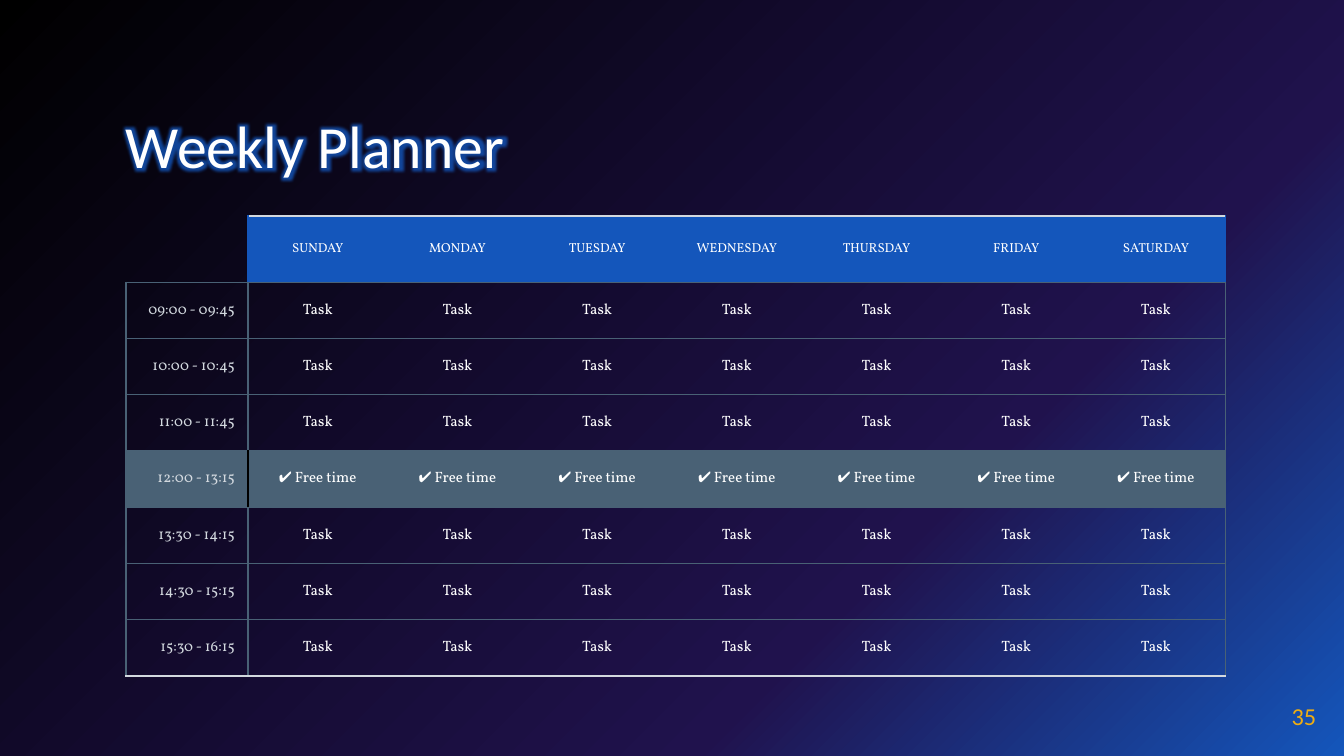
from dataclasses import dataclass
from typing import Optional

from pptx import Presentation
from pptx.dml.color import RGBColor
from pptx.enum.text import MSO_ANCHOR as Anchor, PP_ALIGN as Align
from pptx.oxml import parse_xml
from pptx.oxml.ns import nsdecls
from pptx.util import Emu, Pt

EMU_PER_PX = 914400 / 134.4
BLUE, PURPLE, BLACK, WHITE = "1456BB", "20124D", "000000", "FFFFFF"
SLATE, SILVER, GOLD = "496175", "D3D9DF", "EEAD12"
DAYS = ["SUNDAY", "MONDAY", "TUESDAY", "WEDNESDAY", "THURSDAY", "FRIDAY", "SATURDAY"]
TIMES = ["09:00 - 09:45", "10:00 - 10:45", "11:00 - 11:45", "12:00 - 13:15",
         "13:30 - 14:15", "14:30 - 15:15", "15:30 - 16:15"]
BREAK_ROW = 4
LAST_ROW, LAST_COLUMN = len(TIMES), len(DAYS)


@dataclass(frozen=True)
class Label:
    text: str
    size: int
    font: str
    color: str
    align: Align = Align.LEFT


@dataclass(frozen=True)
class Slot:
    label: Label
    fill: Optional[str]
    left: Optional[str]
    right: Optional[str]
    top: Optional[str]
    bottom: Optional[str]


def px(value: int) -> Emu:
    return Emu(round(value * EMU_PER_PX))


def rgb(color: str) -> RGBColor:
    return RGBColor.from_string(color)


def write(frame, label: Label) -> None:
    para = frame.paragraphs[0]
    para.text = label.text
    para.alignment = label.align
    for span in para.runs:
        span.font.size = Pt(label.size)
        span.font.color.rgb = rgb(label.color)
        span.font.name = label.font


def add_label(page, left: int, top: int, width: int, height: int, label: Label):
    box = page.shapes.add_textbox(px(left), px(top), px(width), px(height))
    frame = box.text_frame
    frame.word_wrap = True
    frame.vertical_anchor = Anchor.MIDDLE
    frame.margin_left = frame.margin_right = frame.margin_top = frame.margin_bottom = 0
    write(frame, label)
    return frame.paragraphs[0]


def add_glow(span, color: str) -> None:
    glow = parse_xml(
        f'<a:effectLst {nsdecls("a")}><a:glow rad="{px(14)}"><a:srgbClr val="{color}">'
        '<a:alpha val="80000"/></a:srgbClr></a:glow></a:effectLst>')
    span.font.color.rgb = rgb(WHITE)
    span.font._element.solidFill.addnext(glow)


def paint_background(page) -> None:
    page.background.fill.solid()
    properties = page._element.cSld.bg.bgPr
    stops = "".join(
        f'<a:gs pos="{percent * 1000}"><a:srgbClr val="{color}"/></a:gs>'
        for percent, color in [(0, BLUE), (31, PURPLE), (100, BLACK)])
    gradient = parse_xml(
        f'<a:gradFill {nsdecls("a")} rotWithShape="1"><a:gsLst>{stops}</a:gsLst>'
        '<a:path path="circle"><a:fillToRect l="100000" t="100000"/></a:path>'
        '<a:tileRect r="-100000" b="-100000"/></a:gradFill>')
    properties.replace(properties[0], gradient)


def border(side: str, color: Optional[str]):
    paint = f'<a:solidFill><a:srgbClr val="{color}"/></a:solidFill>' if color else "<a:noFill/>"
    return parse_xml(f'<a:ln{side} {nsdecls("a")} w="{Pt(0.75)}">{paint}</a:ln{side}>')


def plan_slot(row: int, column: int) -> Slot:
    header, side = row == 0, column == 0
    if header and side:
        return Slot(Label("", 7, "Vollkorn", WHITE), None, None, BLUE, None, SLATE)
    if header:
        label = Label(DAYS[column - 1], 7, "Vollkorn", WHITE, Align.CENTER)
    elif side:
        label = Label(TIMES[row - 1], 8, "Vollkorn", SILVER, Align.RIGHT)
    else:
        text = "✔ Free time" if row == BREAK_ROW else "Task"
        label = Label(text, 8, "Vollkorn", WHITE, Align.CENTER)
    edge = BLUE if header else SLATE
    divider = {0: BLUE, BREAK_ROW: BLACK}.get(row, SLATE)
    return Slot(
        label,
        fill={0: BLUE, BREAK_ROW: SLATE}.get(row),
        left={0: edge, 1: divider}.get(column),
        right={0: divider, LAST_COLUMN: edge}.get(column),
        top=SILVER if header else SLATE,
        bottom=SILVER if row == LAST_ROW else SLATE)


def fill_cell(cell, slot: Slot) -> None:
    cell.vertical_anchor = Anchor.MIDDLE
    cell.margin_left = cell.margin_right = cell.margin_top = cell.margin_bottom = px(13)
    write(cell.text_frame, slot.label)
    if slot.fill:
        cell.fill.solid()
        cell.fill.fore_color.rgb = rgb(slot.fill)
    else:
        cell.fill.background()
    sides = [("L", slot.left), ("R", slot.right), ("T", slot.top), ("B", slot.bottom)]
    for position, (side, color) in enumerate(sides):
        cell._tc.tcPr.insert(position, border(side, color))


def add_planner(page, left: int, top: int) -> None:
    time_width, days_width, header_height, body_height = 122, 978, 65, 394
    table = page.shapes.add_table(
        LAST_ROW + 1, LAST_COLUMN + 1, px(left), px(top),
        px(time_width + days_width), px(header_height + body_height)).table
    table.first_row = table.horz_banding = False
    for index, column in enumerate(table.columns):
        column.width = Emu(px(days_width) // LAST_COLUMN) if index else px(time_width)
    for index, row in enumerate(table.rows):
        row.height = Emu(px(body_height) // LAST_ROW) if index else px(header_height)
        for position, cell in enumerate(row.cells):
            fill_cell(cell, plan_slot(index, position))


def main() -> None:
    deck = Presentation()
    deck.slide_width, deck.slide_height = px(1344), px(756)
    page = deck.slides.add_slide(deck.slide_layouts[6])
    paint_background(page)
    title = add_label(page, 126, 122, 802, 58, Label("Weekly Planner", 32, "Calibri", WHITE))
    title.line_spacing = 0.8
    add_glow(title.runs[0], BLUE)
    add_planner(page, 126, 216)
    add_label(page, 1235, 687, 81, 58, Label("35", 13, "Calibri", GOLD, Align.RIGHT))
    deck.save("out.pptx")


if __name__ == "__main__":
    main()
